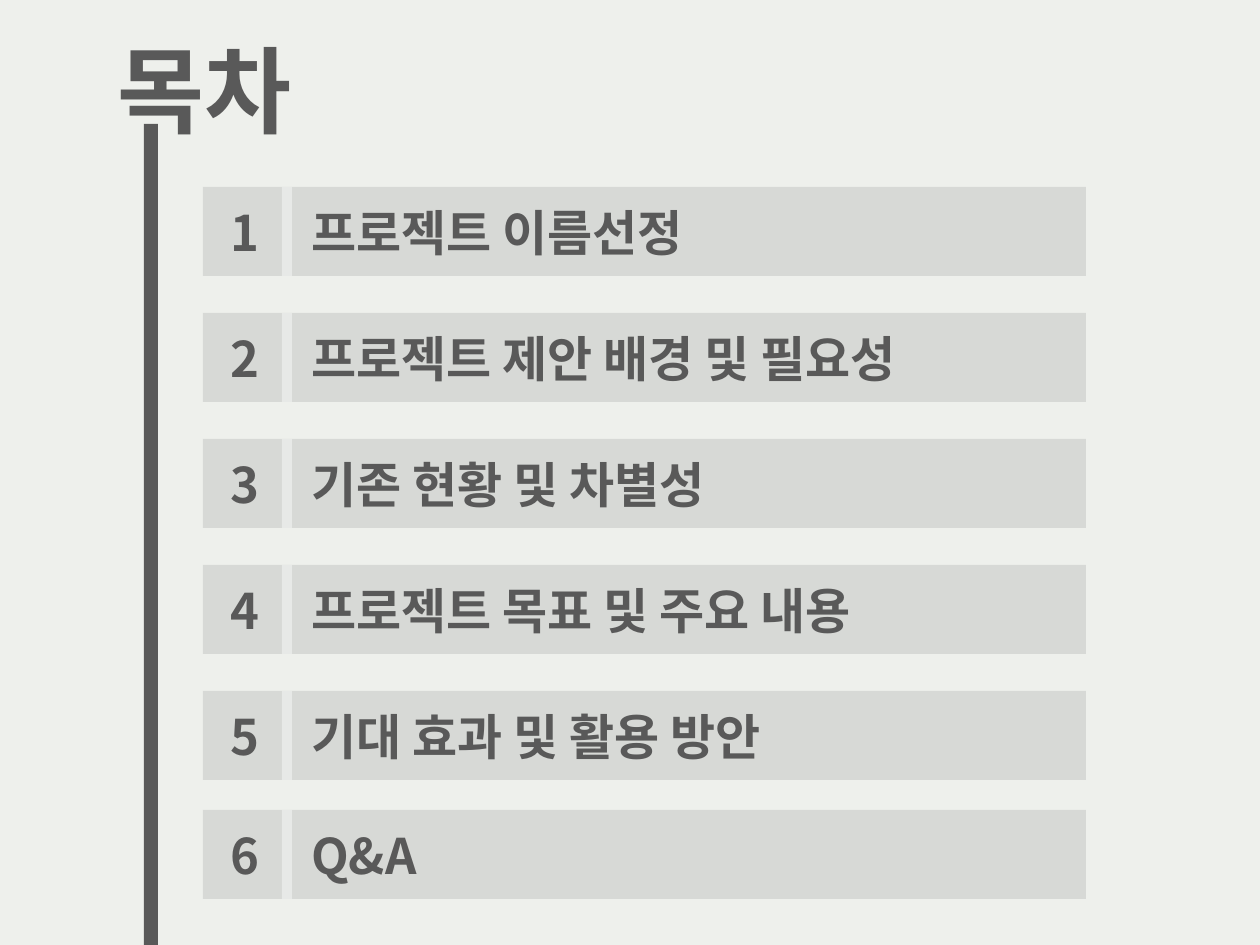
from dataclasses import dataclass

from lxml.etree import SubElement
from pptx import Presentation
from pptx.dml.color import RGBColor as RGB
from pptx.enum.shapes import MSO_SHAPE as SHAPE
from pptx.enum.text import MSO_AUTO_SIZE as AUTO
from pptx.oxml.ns import qn
from pptx.util import Emu, Pt

PX = 914400 / 126  # EMU in one px


def px(*lengths):
    return [Emu(round(n * PX)) for n in lengths]


@dataclass(frozen=True)
class Theme:
    background: str = "EEF0EC"
    ink: str = "595959"
    divider: str = "FBFBFB"
    font: str = "Noto Sans CJK KR"
    title_size: int = 54
    item_size: int = 28
    band_alpha: int = 15
    divider_alpha: int = 47


class Deck:
    def __init__(self, theme):
        self.theme = theme
        self.prs = Presentation()
        self.prs.slide_width, self.prs.slide_height = px(1260, 945)
        self.s = self.prs.slides.add_slide(self.prs.slide_layouts[6])
        fill = self.s.background.fill
        fill.solid()
        fill.fore_color.rgb = RGB.from_string(theme.background)

    def rect(self, parent, box, color, alpha=100):
        sp = parent.add_shape(SHAPE.RECTANGLE, *px(*box))
        sp.shadow.inherit = False
        sp.line.fill.background()
        sp.fill.solid()
        sp.fill.fore_color.rgb = RGB.from_string(color)
        if alpha < 100:
            clr = sp._element.spPr.find(f".//{qn('a:srgbClr')}")
            SubElement(clr, qn("a:alpha"), val=str(alpha * 1000))

    def text(self, parent, box, text, size):
        tf = parent.add_textbox(*px(*box)).text_frame
        tf.word_wrap = False
        tf.auto_size = AUTO.SHAPE_TO_FIT_TEXT
        p = tf.paragraphs[0]
        r = p.add_run()
        r.text = text
        for font in (p.font, r.font):
            font.name = self.theme.font
            font.size = Pt(size)
            font.bold = True
            font.color.rgb = RGB.from_string(self.theme.ink)
        # Hangul takes the East Asian typeface
        SubElement(r._r.rPr, qn("a:ea"), typeface=self.theme.font)

    def item(self, top, number, label, label_width):
        t = self.theme
        shapes = self.s.shapes.add_group_shape().shapes
        self.rect(shapes, (203, top, 883, 89), t.ink, t.band_alpha)
        self.rect(shapes, (282, top, 10, 89), t.divider, t.divider_alpha)
        self.text(shapes, (218, top + 9, 54, 71), str(number), t.item_size)
        self.text(shapes, (299, top + 9, label_width, 71), label, t.item_size)


ITEMS = [  # label, width of its box
    ("프로젝트 이름선정", 510),
    ("프로젝트 제안 배경 및 필요성", 684),
    ("기존 현황 및 차별성", 470),
    ("프로젝트 목표 및 주요 내용", 634),
    ("기대 효과 및 활용 방안", 537),
    ("Q&A", 141),
]
FIRST_TOP, PITCH, LAST_TOP = 187, 126, 810


def main():
    theme = Theme()
    deck = Deck(theme)

    # Title and vertical bar
    deck.text(deck.s.shapes, (105, 26, 214, 125), "목차", theme.title_size)
    deck.rect(deck.s.shapes, (144, 124, 14, 821), theme.ink)

    # Contents: even rows, the last one set a little closer
    for i, (label, width) in enumerate(ITEMS):
        top = min(FIRST_TOP + i * PITCH, LAST_TOP)
        deck.item(top, i + 1, label, width)

    deck.prs.save("out.pptx")


if __name__ == "__main__":
    main()
